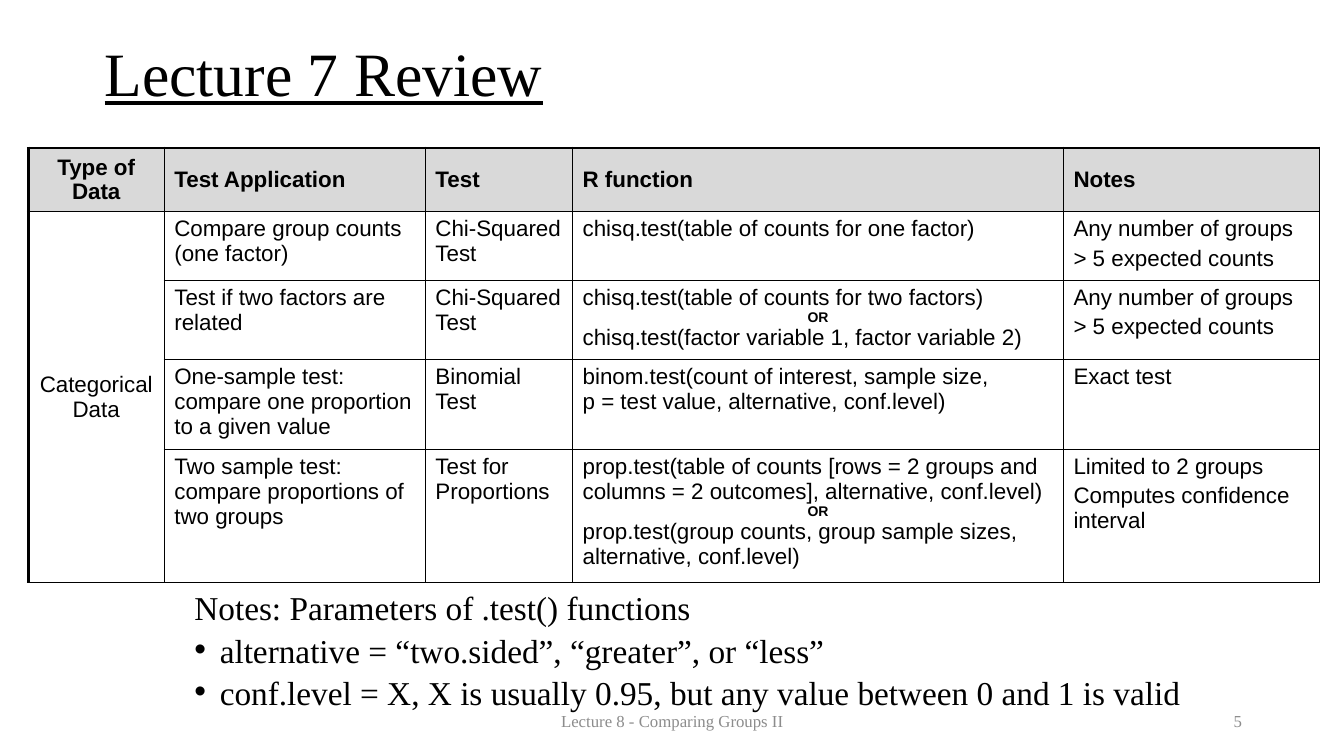
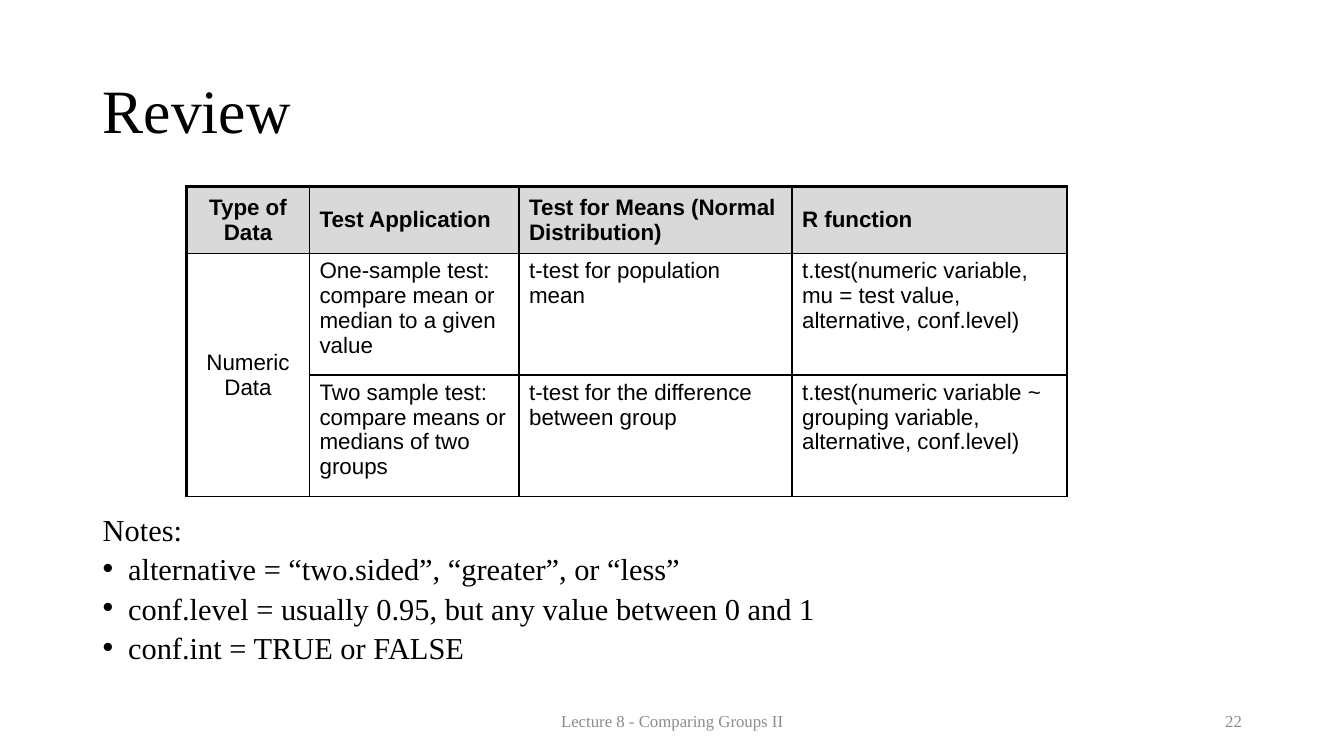
from lxml.etree import SubElement
from pptx import Presentation
from pptx.dml.color import RGBColor
from pptx.enum.text import MSO_ANCHOR, PP_ALIGN
from pptx.oxml.ns import qn
from pptx.util import Cm, Pt

# Shared look
INK, GREY, HEADER_FILL = "000000", "8C8C8C", "D9D9D9"
SERIF, SANS = "Times New Roman", "Arial"
TITLE = {"size": Pt(44), "name": SERIF}
FOOTER = {"size": Pt(12), "name": SERIF}
CELL = {"size": Pt(16), "name": SANS, "bold": False}
HEADER = CELL | {"bold": True}
OR_LINE = CELL | {"size": Pt(10), "bold": True}
THIN, THICK = 1, 2.25
BULLET_INDENT = Cm(0.64)
FOOTER_TEXT = "Lecture 8 - Comparing Groups II"

# Content: a cell is a string, or a list with one string per paragraph
ANY_GROUPS = ["Any number of groups", "> 5 expected counts"]
SLIDES = [
    {
        "number": 5,
        "title": "Lecture 7 Review",
        "underline": True,
        "title_at": (2.39, 0.08),
        "table_at": (0.71, 3.73),
        "columns": [3.43, 6.58, 3.71, 12.37, 6.45],
        "rows": [1.6, 1.73, 2, 2.26, 3.35],
        "header": ["Type of Data", "Test Application", "Test", "R function", "Notes"],
        "data_type": "Categorical Data",
        "tests": [
            ["Compare group counts (one factor)", "Chi-Squared Test",
             "chisq.test(table of counts for one factor)", ANY_GROUPS],
            ["Test if two factors are related", "Chi-Squared Test",
             ["chisq.test(table of counts for two factors)", "OR",
              "chisq.test(factor variable 1, factor variable 2)"], ANY_GROUPS],
            ["One-sample test: compare one proportion to a given value", "Binomial Test",
             ["binom.test(count of interest, sample size,",
              "p = test value, alternative, conf.level)"], "Exact test"],
            ["Two sample test: compare proportions of two groups", "Test for Proportions",
             ["prop.test(table of counts [rows = 2 groups and columns = 2 outcomes], "
              "alternative, conf.level)", "OR",
              "prop.test(group counts, group sample sizes, alternative, conf.level)"],
             ["Limited to 2 groups", "Computes confidence interval"]],
        ],
        "notes_at": (4.65, 14.96, 29.21, 3.28),
        "notes_size": 23.8,
        "notes": ["Notes: Parameters of .test() functions",
                  "alternative = “two.sided”, “greater”, or “less”",
                  "conf.level = X, X is usually 0.95, but any value between 0 and 1 is valid"],
    },
    {
        "number": 22,
        "title": "Review",
        "underline": False,
        "title_at": (2.34, 1.02),
        "table_at": (4.7, 4.7),
        "columns": [3.1, 5.28, 6.88, 6.93],
        "rows": [1.68, 3.07, 3.07],
        "header": ["Type of Data", "Test Application",
                   "Test for Means (Normal Distribution)", "R function"],
        "data_type": "Numeric Data",
        "tests": [
            ["One-sample test: compare mean or median to a given value",
             "t-test for population mean",
             "t.test(numeric variable, mu = test value, alternative, conf.level)"],
            ["Two sample test: compare means or medians of two groups",
             "t-test for the difference between group",
             "t.test(numeric variable ~ grouping variable, alternative, conf.level)"],
        ],
        "notes_at": (2.34, 13, 29.21, 4.14),
        "notes_size": 21.7,
        "notes": ["Notes:",
                  "alternative = “two.sided”, “greater”, or “less”",
                  "conf.level = usually 0.95, but any value between 0 and 1",
                  "conf.int = TRUE or FALSE"],
    },
]


def color(value):
    return RGBColor.from_string(value)


def write(para, text, font, ink=INK, **layout):
    """Put one formatted span into a paragraph."""
    span = para.add_run()
    span.text = text
    for name, value in font.items():
        setattr(span.font, name, value)
    span.font.color.rgb = color(ink)
    for name, value in layout.items():
        setattr(para, name, value)


def paragraphs(frame, count):
    return [frame.paragraphs[0]] + [frame.add_paragraph() for _ in range(count - 1)]


def add_box(page, place, anchor=MSO_ANCHOR.MIDDLE):
    frame = page.shapes.add_textbox(*map(Cm, place)).text_frame
    frame.word_wrap = True
    frame.vertical_anchor = anchor
    return frame


def add_bullet(para):
    properties = para._p.get_or_add_pPr()
    properties.set("marL", str(BULLET_INDENT))
    properties.set("indent", str(-BULLET_INDENT))
    SubElement(properties, qn("a:buFont"), typeface=SANS)
    SubElement(properties, qn("a:buChar"), char="•")


def set_borders(cell, **widths):
    properties = cell._tc.get_or_add_tcPr()
    for side, width in widths.items():
        line = SubElement(properties, qn(f"a:ln{side}"), w=str(Pt(width)))
        fill = SubElement(line, qn("a:solidFill"))
        SubElement(fill, qn("a:srgbClr"), val=INK)


def add_test_table(page, content):
    columns, rows = content["columns"], content["rows"]
    place = (*content["table_at"], sum(columns), sum(rows))
    table = page.shapes.add_table(len(rows), len(columns), *map(Cm, place)).table
    for column, width in zip(table.columns, columns):
        column.width = Cm(width)
    for row, height in zip(table.rows, rows):
        row.height = Cm(height)

    # The data type stands once, beside all of its tests
    labels = [content["data_type"]] + [""] * (len(rows) - 2)
    body = [[label, *test] for label, test in zip(labels, content["tests"])]
    for r, texts in enumerate([content["header"], *body]):
        for c, text in enumerate(texts):
            cell = table.cell(r, c)
            set_borders(cell, L=THIN if c else THICK, R=THIN,
                        T=THIN if r else THICK, B=THIN)
            if r == 0:
                cell.fill.solid()
                cell.fill.fore_color.rgb = color(HEADER_FILL)
            else:
                cell.fill.background()
            if r == 0 or c == 0:
                cell.vertical_anchor = MSO_ANCHOR.MIDDLE
            if not text:
                continue
            lines = [text] if isinstance(text, str) else text
            gap = Pt(0 if content["header"][c] == "R function" else 3.2)
            for para, line in zip(paragraphs(cell.text_frame, len(lines)), lines):
                font = OR_LINE if line == "OR" else CELL if r else HEADER
                centred = c == 0 or line == "OR"
                write(para, line, font, space_before=gap,
                      alignment=PP_ALIGN.CENTER if centred else PP_ALIGN.LEFT)
    table.cell(1, 0).merge(table.cell(len(rows) - 1, 0))


def add_notes(page, content):
    frame = add_box(page, content["notes_at"], MSO_ANCHOR.TOP)
    font = {"size": Pt(content["notes_size"]), "name": SERIF}
    lines = content["notes"]
    for i, (para, line) in enumerate(zip(paragraphs(frame, len(lines)), lines)):
        write(para, line, font, line_spacing=0.7, space_before=Pt(10))
        if i:
            add_bullet(para)


def add_footer(page, number):
    for text, left, width, alignment in (
        (FOOTER_TEXT, 11.23, 11.43, PP_ALIGN.CENTER),
        (str(number), 23.93, 7.62, PP_ALIGN.RIGHT),
    ):
        frame = add_box(page, (left, 17.65, width, 1.02))
        write(frame.paragraphs[0], text, FOOTER, GREY, alignment=alignment)


def main():
    deck = Presentation()
    deck.slide_width, deck.slide_height = Cm(33.87), Cm(19.05)
    for content in SLIDES:
        page = deck.slides.add_slide(deck.slide_layouts[6])
        add_test_table(page, content)
        title = add_box(page, (*content["title_at"], 29.21, 3.68))
        write(title.paragraphs[0], content["title"],
              TITLE | {"underline": content["underline"]}, line_spacing=0.9)
        add_notes(page, content)
        add_footer(page, content["number"])
    deck.save("out.pptx")


if __name__ == "__main__":
    main()
